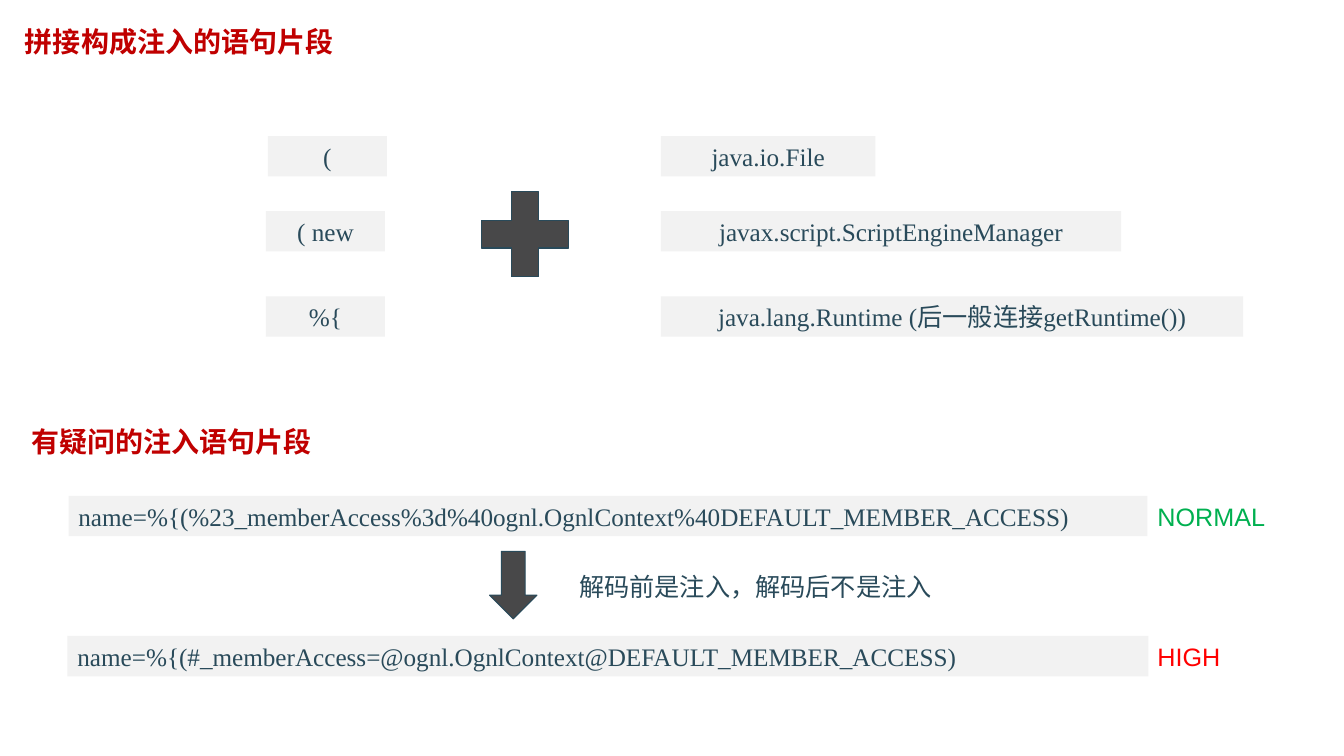
"""Build a slide on how injection statements are assembled and decoded."""
from dataclasses import dataclass

from pptx import Presentation
from pptx.dml.color import RGBColor
from pptx.enum.shapes import MSO_SHAPE as Preset
from pptx.enum.text import MSO_ANCHOR as Anchor, MSO_AUTO_SIZE as AutoSize, PP_ALIGN as Align
from pptx.shapes.autoshape import Shape
from pptx.slide import Slide
from pptx.util import Inches, Pt

CELL = Inches(0.1)
COLUMNS, ROWS = 133.4, 75
BAR_ROWS = 4
COLORS = {
    "heading": "C00000",
    "ink": "294A5A",
    "bar": "F2F2F2",
    "symbol": "484849",
    "normal": "00B050",
    "high": "FF0000",
}
SERIF, SANS = "Times New Roman", "Arial"


@dataclass(frozen=True)
class Box:
    column: float
    row: float
    columns: float
    rows: float = BAR_ROWS

    def to_emu(self) -> tuple[int, int, int, int]:
        return tuple(round(cells * CELL) for cells in (self.column, self.row, self.columns, self.rows))


@dataclass(frozen=True)
class Bar:
    text: str
    box: Box
    align: Align = Align.CENTER


@dataclass(frozen=True)
class Label:
    text: str
    box: Box
    color: str = "ink"
    font: str = SANS
    size: int = 18
    bold: bool = False


@dataclass(frozen=True)
class Symbol:
    preset: Preset
    box: Box


def heading(text: str, box: Box) -> Label:
    return Label(text, box, color="heading", font=SERIF, size=20, bold=True)


PREFIX_COLUMNS, CLASS_COLUMN = 11.8, 65.6
FIRST_ROW, SECOND_ROW, THIRD_ROW = 13.5, 20.95, 29.4
ENCODED_ROW, DECODED_ROW = 49.2, 63.1
RISK_COLUMN, RISK_COLUMNS = 113.9, 13.4

BARS = (
    Bar("(", Box(26.6, FIRST_ROW, PREFIX_COLUMNS)),
    Bar("( new", Box(26.4, SECOND_ROW, PREFIX_COLUMNS)),
    Bar("%{", Box(26.4, THIRD_ROW, PREFIX_COLUMNS)),
    Bar("java.io.File", Box(CLASS_COLUMN, FIRST_ROW, 21.3)),
    Bar("javax.script.ScriptEngineManager", Box(CLASS_COLUMN, SECOND_ROW, 45.7)),
    Bar("java.lang.Runtime (后一般连接getRuntime())", Box(CLASS_COLUMN, THIRD_ROW, 57.8)),
    Bar("name=%{(%23_memberAccess%3d%40ognl.OgnlContext%40DEFAULT_MEMBER_ACCESS)",
        Box(6.8, ENCODED_ROW, 107.1), Align.LEFT),
    Bar("name=%{(#_memberAccess=@ognl.OgnlContext@DEFAULT_MEMBER_ACCESS)",
        Box(6.7, DECODED_ROW, 107.3), Align.LEFT),
)
LABELS = (
    heading("拼接构成注入的语句片段", Box(1.5, 1.9, 42.6, 4.4)),
    heading("有疑问的注入语句片段", Box(2.1, 41.6, 37.6, 4.4)),
    Label("解码前是注入，解码后不是注入", Box(56.5, 56.2, 37)),
    Label("NORMAL", Box(RISK_COLUMN, ENCODED_ROW, RISK_COLUMNS), color="normal"),
    Label("HIGH", Box(RISK_COLUMN, DECODED_ROW, RISK_COLUMNS), color="high"),
)
SYMBOLS = (
    Symbol(Preset.MATH_PLUS, Box(46.2, 17.5, 11.8, 11.5)),
    Symbol(Preset.DOWN_ARROW, Box(48.6, 54.7, 4.7, 6.7)),
)


def rgb(name: str) -> RGBColor:
    return RGBColor.from_string(COLORS[name])


def write_text(shape: Shape, text: str, *, color: str = "ink", font: str = SERIF, size: int = 18,
               bold: bool = False, align: Align = Align.LEFT, anchor: Anchor = Anchor.TOP) -> None:
    frame = shape.text_frame
    frame.word_wrap = True
    frame.auto_size = AutoSize.SHAPE_TO_FIT_TEXT
    frame.vertical_anchor = anchor
    paragraph = frame.paragraphs[0]
    paragraph.alignment = align
    run = paragraph.add_run()
    run.text = text
    run.font.name = font
    run.font.size = Pt(size)
    run.font.bold = bold
    run.font.color.rgb = rgb(color)


def add_filled_shape(slide: Slide, preset: Preset, box: Box, fill: str) -> Shape:
    shape = slide.shapes.add_shape(preset, *box.to_emu())
    shape.shadow.inherit = False
    shape.fill.solid()
    shape.fill.fore_color.rgb = rgb(fill)
    return shape


def add_bar(slide: Slide, bar: Bar) -> None:
    shape = add_filled_shape(slide, Preset.RECTANGLE, bar.box, "bar")
    shape.line.fill.background()
    write_text(shape, bar.text, align=bar.align, anchor=Anchor.MIDDLE)


def add_symbol(slide: Slide, symbol: Symbol) -> None:
    shape = add_filled_shape(slide, symbol.preset, symbol.box, "symbol")
    shape.line.color.rgb = rgb("ink")
    shape.line.width = Pt(0.75)


def add_label(slide: Slide, label: Label) -> None:
    shape = slide.shapes.add_textbox(*label.box.to_emu())
    write_text(shape, label.text, color=label.color, font=label.font, size=label.size, bold=label.bold)


def main() -> None:
    presentation = Presentation()
    presentation.slide_width = round(COLUMNS * CELL)
    presentation.slide_height = ROWS * CELL
    slide = presentation.slides.add_slide(presentation.slide_layouts[6])
    for bar in BARS:
        add_bar(slide, bar)
    for symbol in SYMBOLS:
        add_symbol(slide, symbol)
    for label in LABELS:
        add_label(slide, label)
    presentation.save("out.pptx")


if __name__ == "__main__":
    main()
